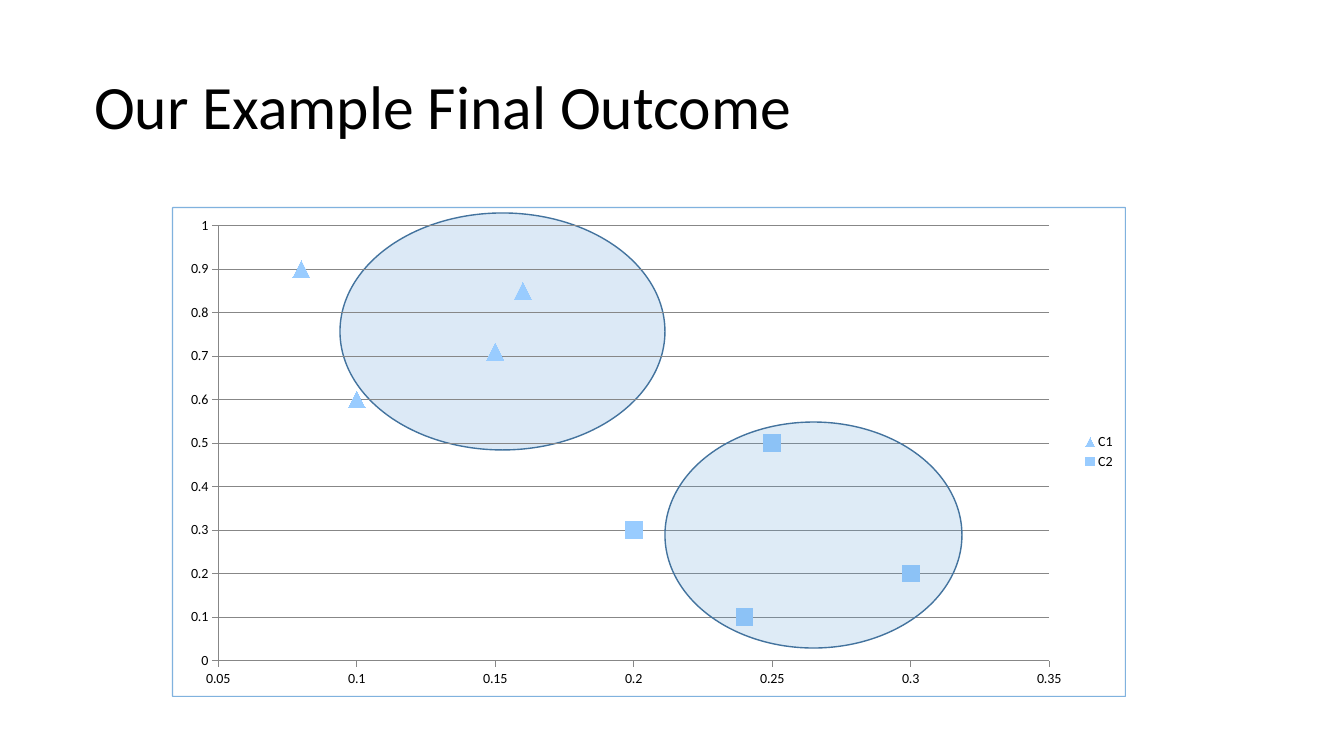
from lxml import etree
from pptx import Presentation
from pptx.chart.data import XyChartData
from pptx.dml.color import RGBColor
from pptx.enum.chart import XL_CHART_TYPE, XL_LEGEND_POSITION, XL_MARKER_STYLE, XL_TICK_MARK
from pptx.enum.shapes import MSO_SHAPE
from pptx.enum.text import MSO_ANCHOR, PP_ALIGN
from pptx.oxml import parse_xml
from pptx.oxml.ns import nsdecls, qn
from pptx.util import Pt

SCATTER = XL_CHART_TYPE.XY_SCATTER
LEGEND_RIGHT = XL_LEGEND_POSITION.RIGHT
TRIANGLE, SQUARE = XL_MARKER_STYLE.TRIANGLE, XL_MARKER_STYLE.SQUARE
TICK_OUT, TICK_NONE = XL_TICK_MARK.OUTSIDE, XL_TICK_MARK.NONE
ELLIPSE = MSO_SHAPE.OVAL
LEFT, MIDDLE = PP_ALIGN.LEFT, MSO_ANCHOR.MIDDLE

THEME = {
    "font": "Calibri", "title": 44, "label": 10,
    "text": RGBColor.from_string("000000"),
    "accent": RGBColor.from_string("5B9BD5"),
    "outline": RGBColor.from_string("43739E"),
    "marker": RGBColor.from_string("99CCFF"),
    "grid": RGBColor.from_string("878787"),
}
PX = 914400 / 100.8


def px(*lengths):
    return [round(n * PX) for n in lengths]


def write(tf, text, size, color, align=LEFT, spacing=0.9):
    p = tf.paragraphs[0]
    p.alignment, p.line_spacing = align, spacing
    r = p.add_run()
    r.text = text
    r.font.name, r.font.size = THEME["font"], Pt(size)
    r.font.color.rgb = color


prs = Presentation()
prs.slide_width, prs.slide_height = px(1344, 756)
s = prs.slides.add_slide(prs.slide_layouts[5])

# Title
title = s.shapes.title
title.left, title.top, title.width, title.height = px(84, 37, 1159, 146)
title.text_frame.vertical_anchor = MIDDLE
write(title.text_frame, "Our Example Final Outcome", THEME["title"], THEME["text"])

# Cluster ellipses, one behind the chart and one in front
ellipses = []
for box, opacity in (((340, 213, 325, 237), 21), ((665, 422, 297, 226), 20)):
    sp = s.shapes.add_shape(ELLIPSE, *px(*box))
    sp.shadow.inherit = False
    sp.fill.solid()
    sp.fill.fore_color.rgb = THEME["accent"]
    color = sp.fill._xPr.find(qn("a:solidFill"))[0]
    etree.SubElement(color, qn("a:alpha"), val=str(opacity * 1000))
    sp.line.color.rgb, sp.line.width = THEME["outline"], Pt(1)
    ellipses.append(sp)

# Scatter chart
clusters = {
    "C1": (TRIANGLE, [(0.1, 0.6), (0.15, 0.71), (0.08, 0.9), (0.16, 0.85)]),
    "C2": (SQUARE, [(0.2, 0.3), (0.25, 0.5), (0.24, 0.1), (0.3, 0.2)]),
}
data = XyChartData()
for name, (_, points) in clusters.items():
    series = data.add_series(name)
    for x, y in points:
        series.add_data_point(x, y)
frame = s.shapes.add_chart(SCATTER, *px(172, 207, 954, 490), data)
chart = frame.chart
ellipses[1]._element.getparent().append(ellipses[1]._element)

chart.has_title = False
chart.font.name, chart.font.size = THEME["font"], Pt(THEME["label"])
chart.font.color.rgb = THEME["text"]
chart.has_legend = True
chart.legend.position, chart.legend.include_in_layout = LEGEND_RIGHT, False
chart.plots[0].vary_by_categories = False

# Markers without joining lines
for series, (style, _) in zip(chart.plots[0].series, clusters.values()):
    series.smooth = False
    series.format.line.fill.background()
    series.marker.style, series.marker.size = style, 12
    series.marker.format.fill.solid()
    series.marker.format.fill.fore_color.rgb = THEME["marker"]
    series.marker.format.line.fill.background()

# Axes
for axis, low, high, step in ((chart.category_axis, 0.05, 0.35, 0.05),
                              (chart.value_axis, 0, 1, 0.1)):
    axis.minimum_scale, axis.maximum_scale, axis.major_unit = low, high, step
    axis.major_tick_mark, axis.minor_tick_mark = TICK_OUT, TICK_NONE
    axis.format.line.color.rgb, axis.format.line.width = THEME["grid"], Pt(0.75)
    axis.has_major_gridlines = False
chart.value_axis.has_major_gridlines = True
grid = chart.value_axis.major_gridlines.format.line
grid.color.rgb, grid.width = THEME["grid"], Pt(0.75)

# Clear background, thin border and plot position
space = chart._chartSpace
space.find(qn("c:txPr")).addprevious(parse_xml(
    f'<c:spPr {nsdecls("c", "a")}><a:noFill/><a:ln w="9525"><a:solidFill>'
    f'<a:srgbClr val="{THEME["accent"]}"><a:alpha val="76000"/></a:srgbClr>'
    '</a:solidFill></a:ln></c:spPr>'))
plot_area = space.find(".//" + qn("c:plotArea"))
for old in plot_area.findall(qn("c:layout")):
    plot_area.remove(old)
plot_area.insert(0, parse_xml(
    f'<c:layout {nsdecls("c")}><c:manualLayout><c:layoutTarget val="inner"/>'
    '<c:xMode val="edge"/><c:yMode val="edge"/>'
    f'<c:x val="{46 / 954:.3f}"/><c:y val="{18 / 490:.3f}"/>'
    f'<c:w val="{832 / 954:.3f}"/><c:h val="{436 / 490:.3f}"/>'
    '</c:manualLayout></c:layout>'))

prs.save("out.pptx")
